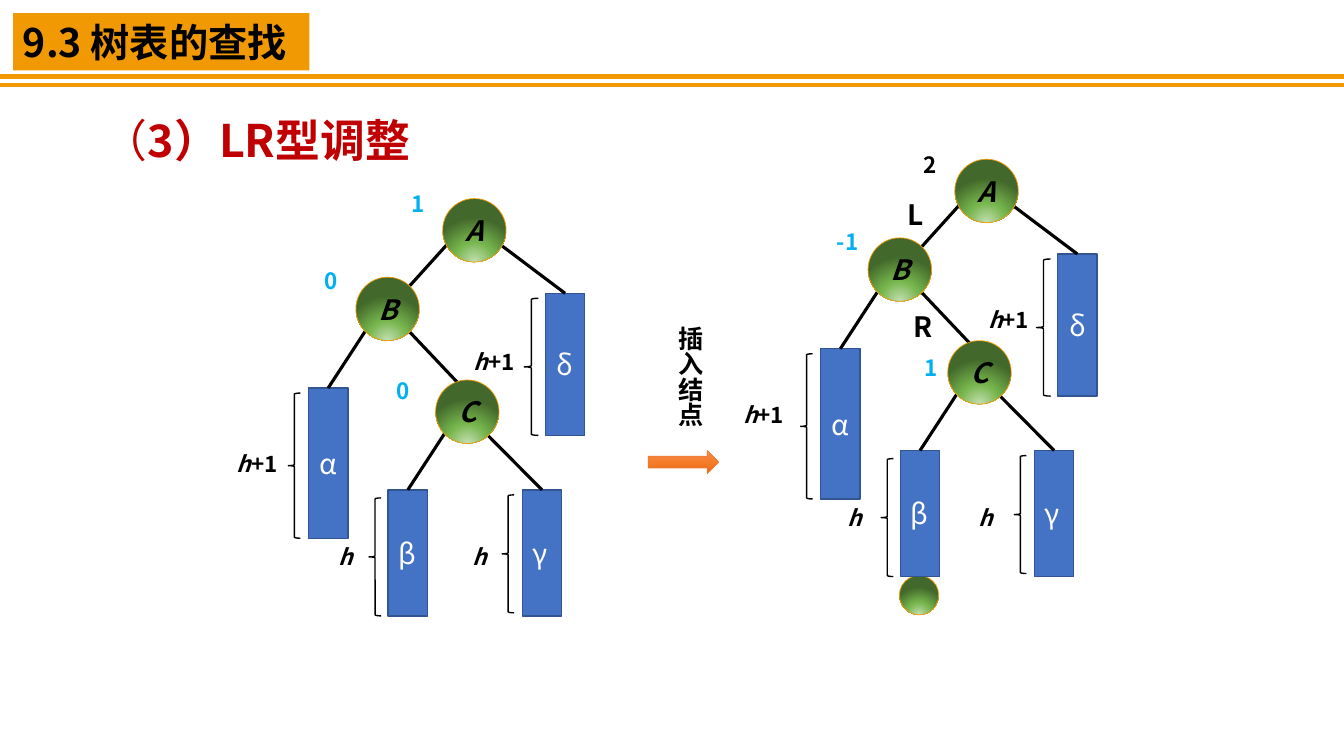
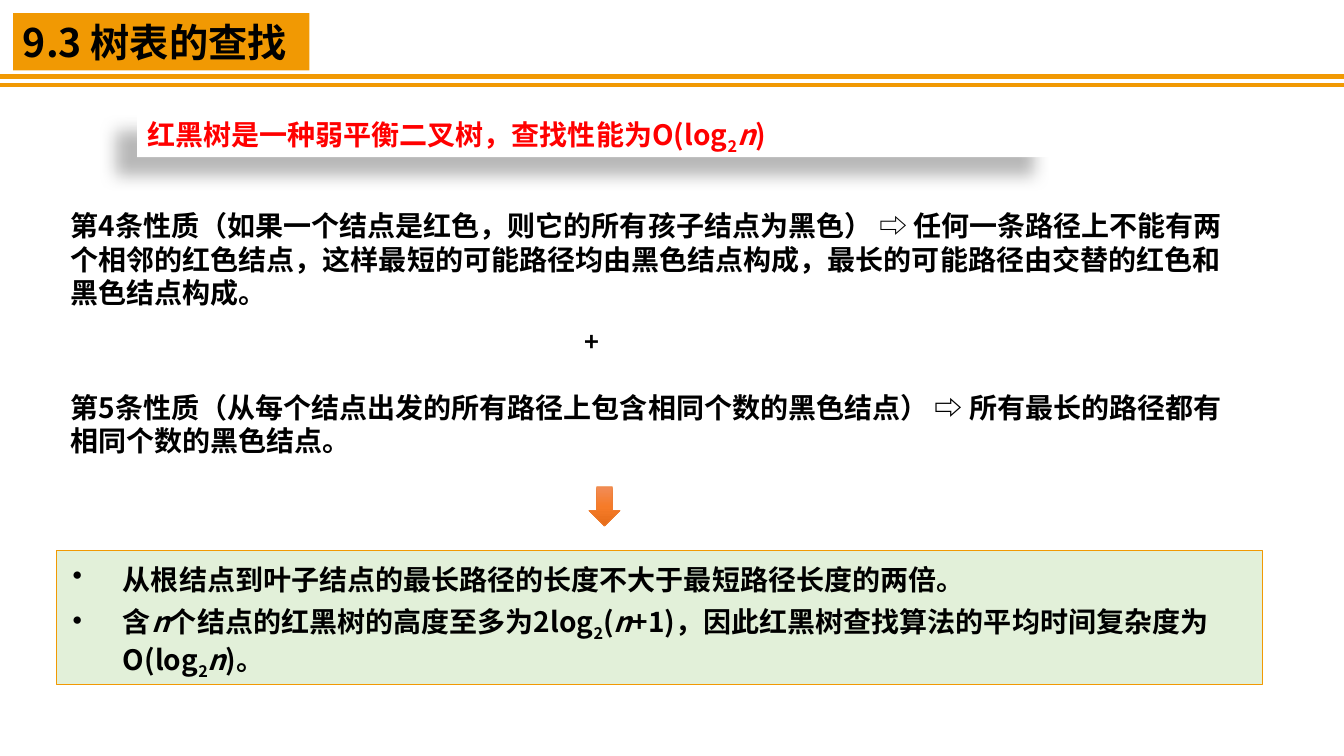
from dataclasses import dataclass

from lxml import etree
from pptx import Presentation
from pptx.dml.color import RGBColor
from pptx.enum.shapes import MSO_CONNECTOR as Link, MSO_SHAPE as Kind
from pptx.enum.text import MSO_ANCHOR as Anchor, MSO_AUTO_SIZE as AutoSize, PP_ALIGN as Align
from pptx.oxml import parse_xml
from pptx.oxml.ns import nsdecls, qn
from pptx.util import Inches, Pt


@dataclass(frozen=True)
class Theme:
    font: str = "Noto Sans CJK SC"
    orange: str = "F19903"
    black: str = "000000"
    white: str = "FFFFFF"
    dark_red: str = "C00000"
    red: str = "FF0000"
    cyan: str = "00B0F0"
    blue: str = "4472C4"
    blue_edge: str = "325491"
    arrow_edge: str = "ED7D31"
    pale_green: str = "E2F0D9"
    node_stops: tuple = ((0, "C5E0B4"), (46, "76B54C"), (100, "43682B"))
    arrow_stops: tuple = ((0, "F18C57"), (50, "F67B28"), (100, "E56C19"))
    heading: int = 32
    header: int = 28
    body: int = 20
    note: int = 18
    label: int = 16


THEME = Theme()
DOWNWARD = '<a:lin ang="5400000" scaled="0"/>'
FROM_BELOW = '<a:path path="circle"><a:fillToRect l="50000" t="130000" r="50000" b="-30000"/></a:path>'

NODE_SIZE = 0.63
SUBTREE_WIDTH = 0.39
NODES = {"A": (2.04, 0), "B": (1.18, 0.78), "C": (1.97, 1.8)}
SUBTREES = {
    "α": dict(at=(0.71, 1.88), height=1.49, brace=(0.51, 1.93, 0.12, 1.44), label=(0, 2.5), deep=True),
    "δ": dict(at=(3.06, 0.94), height=1.41, brace=(2.85, 0.99, 0.14, 1.36), label=(2.35, 1.48), deep=True),
    "β": dict(at=(1.5, 2.89), height=1.25, brace=(1.31, 2.97, 0.12, 1.17), label=(1.01, 3.42), deep=False),
    "γ": dict(at=(2.83, 2.89), height=1.25, brace=(2.63, 2.94, 0.12, 1.17), label=(2.34, 3.42), deep=False),
}
NODE_EDGES = (((2.08, 0.46), (1.71, 0.87)), ((1.71, 1.32), (2.24, 1.88)))
SUBTREE_EDGES = {"α": (1.27, 1.32), "δ": (2.63, 0.47), "β": (2.06, 2.33), "γ": (2.47, 2.33)}


def inches(*lengths):
    return [Inches(length) for length in lengths]


def paint(shape, fill=None, line=None, weight=1):
    if fill:
        shape.fill.solid()
        shape.fill.fore_color.rgb = RGBColor.from_string(fill)
    if line:
        shape.line.color.rgb = RGBColor.from_string(line)
        shape.line.width = Pt(weight)
    else:
        shape.line.fill.background()


def add_gradient(shape, stops, direction):
    marks = "".join(
        f'<a:gs pos="{place * 1000}"><a:srgbClr val="{color}"/></a:gs>' for place, color in stops
    )
    gradient = parse_xml(f'<a:gradFill {nsdecls("a")}><a:gsLst>{marks}</a:gsLst>{direction}</a:gradFill>')
    shape.element.spPr.find(qn("a:prstGeom")).addnext(gradient)


def add_spans(para, spans, size, color):
    for text, style in spans:
        span = para.add_run()
        span.text = text
        span.font.name = THEME.font
        span.font.size = Pt(size)
        span.font.bold = "b" in style
        span.font.italic = "i" in style
        span.font.color.rgb = RGBColor.from_string(color)
        properties = span._r.get_or_add_rPr()
        etree.SubElement(properties, qn("a:ea")).set("typeface", THEME.font)
        if "s" in style:
            properties.set("baseline", "-25000")


def write(shape, spans, size, color, align=Align.LEFT, anchor=Anchor.TOP, margins=(0.1, 0.05, 0.1, 0.05)):
    frame = shape.text_frame
    frame.word_wrap = True
    frame.auto_size = AutoSize.NONE
    frame.vertical_anchor = anchor
    frame.margin_left, frame.margin_top, frame.margin_right, frame.margin_bottom = inches(*margins)
    para = frame.paragraphs[0]
    para.alignment = align
    add_spans(para, spans, size, color)
    return frame


def add_figure(page, kind, area, fill=None, line=None, weight=1):
    shape = page.shapes.add_shape(kind, *inches(*area))
    shape.shadow.inherit = False
    paint(shape, fill, line, weight)
    return shape


def add_label(page, area, spans, size, color=THEME.black, margins=(0, 0, 0, 0)):
    box = page.shapes.add_textbox(*inches(*area))
    write(box, spans, size, color, margins=margins)
    return box


def add_line(page, start, end, color, weight):
    line = page.shapes.add_connector(Link.STRAIGHT, *inches(*start, *end))
    line.line.color.rgb = RGBColor.from_string(color)
    line.line.width = Pt(weight)
    etree.SubElement(line.element.spPr, qn("a:effectLst"))
    return line


def add_block_arrow(page, kind, area):
    arrow = add_figure(page, kind, area, line=THEME.arrow_edge, weight=0.5)
    add_gradient(arrow, THEME.arrow_stops, DOWNWARD)


def add_circle(page, area):
    circle = add_figure(page, Kind.OVAL, area, line=THEME.orange, weight=0.5)
    add_gradient(circle, THEME.node_stops, FROM_BELOW)
    return circle


def set_title(page, area, spans, size, color):
    title = page.shapes.title
    title.left, title.top, title.width, title.height = inches(*area)
    write(title, spans, size, color)
    return title


def add_header(page, layout):
    tab = add_figure(page, Kind.RECTANGLE, (0.13, 0.13, 2.94, 0.57), THEME.orange)
    write(tab, [("9.3 树表的查找", "b")], THEME.header, THEME.black)
    rules = [add_line(page, (0, y), (13.33, y), THEME.orange, 3) for y in (0.76, 0.84)]
    for number, part in enumerate([tab, *rules], start=20):
        part.element.xpath(".//p:cNvPr")[0].set("id", str(number))
        layout.shapes.element.insert(2, part.element)


def add_tree(page, left, top, balances, label_shifts, balance_places):
    def spot(x, y):
        return left + x, top + y

    bars = {}
    for name, part in SUBTREES.items():
        bar = add_figure(
            page, Kind.RECTANGLE, (*spot(*part["at"]), SUBTREE_WIDTH, part["height"]), THEME.blue, THEME.blue_edge
        )
        align = Align.CENTER if part["deep"] else Align.LEFT
        write(bar, [(name, "")], THEME.body, THEME.white, align, Anchor.MIDDLE)
        bars[name] = bar
        x, y, width, height = part["brace"]
        brace = add_figure(page, Kind.LEFT_BRACE, (*spot(x, y), width, height), line=THEME.black)
        brace.fill.background()
        shift_x, shift_y = label_shifts.get(name, (0, 0))
        x, y = part["label"]
        spans = [("h", "bi"), ("+1", "b")] if part["deep"] else [("h", "bi")]
        add_label(page, (*spot(x + shift_x, y + shift_y), 0.54, 0.27), spans, THEME.label)

    for start, end in NODE_EDGES:
        add_line(page, spot(*start), spot(*end), THEME.black, 2.25)
    for name, start in SUBTREE_EDGES.items():
        edge = add_line(page, spot(*start), spot(*SUBTREES[name]["at"]), THEME.black, 2.25)
        edge.end_connect(bars[name], 0)

    for name, place in NODES.items():
        node = add_circle(page, (*spot(*place), NODE_SIZE, NODE_SIZE))
        write(node, [(name, "bi")], THEME.body, THEME.black, Align.CENTER, Anchor.MIDDLE)
        value, color = balances[name]
        add_label(page, (*spot(*balance_places[name]), 0.39, 0.27), [(value, "b")], THEME.label, color)


def add_insertion(page, left, top):
    caption = add_label(
        page, (left + 0.12, top, 0.5, 1.25), [("插入结点", "b")], THEME.note, margins=(0.1, 0.05, 0.1, 0.05)
    )
    caption.text_frame._txBody.bodyPr.set("vert", "eaVert")
    add_block_arrow(page, Kind.RIGHT_ARROW, (left, top + 1.33, 0.7, 0.23))


def build_rotation_page(page):
    set_title(page, (0.92, 1.07, 3.72, 0.64), [("（", ""), ("3）LR型调整", "b")], THEME.heading, THEME.dark_red)
    places = {"A": (1.73, -0.08), "B": (0.87, 0.68), "C": (1.58, 1.77)}
    before = {"A": ("1", THEME.cyan), "B": ("0", THEME.cyan), "C": ("0", THEME.cyan)}
    add_tree(page, 2.35, 1.97, before, {}, places)
    add_insertion(page, 6.43, 3.14)
    add_circle(page, (8.92, 5.71, 0.39, 0.39))
    after = {"A": ("2", THEME.black), "B": ("-1", THEME.cyan), "C": ("1", THEME.cyan)}
    shifts = {"α": (-0.06, -0.1), "δ": (0.02, -0.02), "β": (-0.03, 0), "γ": (-0.06, 0)}
    add_tree(page, 7.43, 1.58, after, shifts, {**places, "C": (1.74, 1.93)})
    for letter, x, y in (("L", 9, 1.96), ("R", 9.06, 3.07)):
        add_label(page, (x, y, 0.39, 0.34), [(letter, "b")], THEME.body)


def add_claim(page):
    spans = [("红黑树是一种弱平衡二叉树，查找性能为O(log", "b"), ("2", "bs"), ("n", "bi"), (")", "b")]
    claim = set_title(page, (1.36, 1.12, 9.1, 0.44), spans, THEME.body, THEME.red)
    paint(claim, THEME.white)
    claim.element.spPr.append(parse_xml(
        f'<a:effectLst {nsdecls("a")}><a:outerShdw blurRad="{Pt(11.8)}" dist="{Pt(19.7)}" '
        f'dir="{141 * 60000}" algn="ctr" rotWithShape="0"><a:srgbClr val="{THEME.black}">'
        '<a:alpha val="28000"/></a:srgbClr></a:outerShdw></a:effectLst>'
    ))


def add_property(page, top, height, spans):
    box = add_figure(page, Kind.RECTANGLE, (0.6, top, 11.65, height), THEME.white)
    write(box, spans, THEME.body, THEME.black)


def add_conclusions(page, area):
    box = add_figure(page, Kind.RECTANGLE, area, THEME.pale_green, THEME.orange, 0.5)
    first = [("从根结点到叶子结点的最长路径的长度不大于最短路径长度的两倍。", "b")]
    second = [
        ("含", "b"), ("n", "bi"), ("个结点的红黑树的高度至多为2log", "b"), ("2", "bs"), ("(", "b"),
        ("n", "bi"), ("+1)，因此红黑树查找算法的平均时间复杂度为O(log", "b"), ("2", "bs"),
        ("n", "bi"), (")。", "b"),
    ]
    frame = write(box, first, THEME.body, THEME.black, margins=(0.16, 0.12, 0.1, 0.12))
    para = frame.add_paragraph()
    para.alignment = Align.LEFT
    para.space_before = Pt(6)
    add_spans(para, second, THEME.body, THEME.black)
    for para in frame.paragraphs:
        properties = para._p.get_or_add_pPr()
        properties.set("marL", str(Inches(0.5)))
        properties.set("indent", str(-Inches(0.5)))
        etree.SubElement(properties, qn("a:buChar")).set("char", "•")


def build_height_page(page):
    add_claim(page)
    add_property(page, 2.02, 1.11, [
        ("第4条性质（如果一个结点是红色，则它的所有孩子结点为黑色）", "b"),
        (" ⇨ ", ""),
        ("任何一条路径上不能有两个相邻的红色结点，这样最短的可能路径均由黑色结点构成，"
         "最长的可能路径由交替的红色和黑色结点构成。", "b"),
    ])
    add_label(page, (5.7, 3.19, 0.72, 0.4), [("+", "b")], THEME.note, margins=(0.1, 0.05, 0.1, 0.05))
    add_property(page, 3.82, 0.77, [
        ("第5条性质（从每个结点出发的所有路径上包含相同个数的黑色结点） ⇨ "
         "所有最长的路径都有相同个数的黑色结点。", "b"),
    ])
    add_block_arrow(page, Kind.DOWN_ARROW, (5.84, 4.83, 0.31, 0.39))
    add_conclusions(page, (0.56, 5.46, 11.96, 1.33))


def main():
    deck = Presentation()
    deck.slide_width, deck.slide_height = inches(13.33, 7.5)
    layout = deck.slide_layouts[5]
    pages = [deck.slides.add_slide(layout) for _ in range(2)]
    add_header(pages[0], layout)
    build_rotation_page(pages[0])
    build_height_page(pages[1])
    deck.save("out.pptx")


if __name__ == "__main__":
    main()
